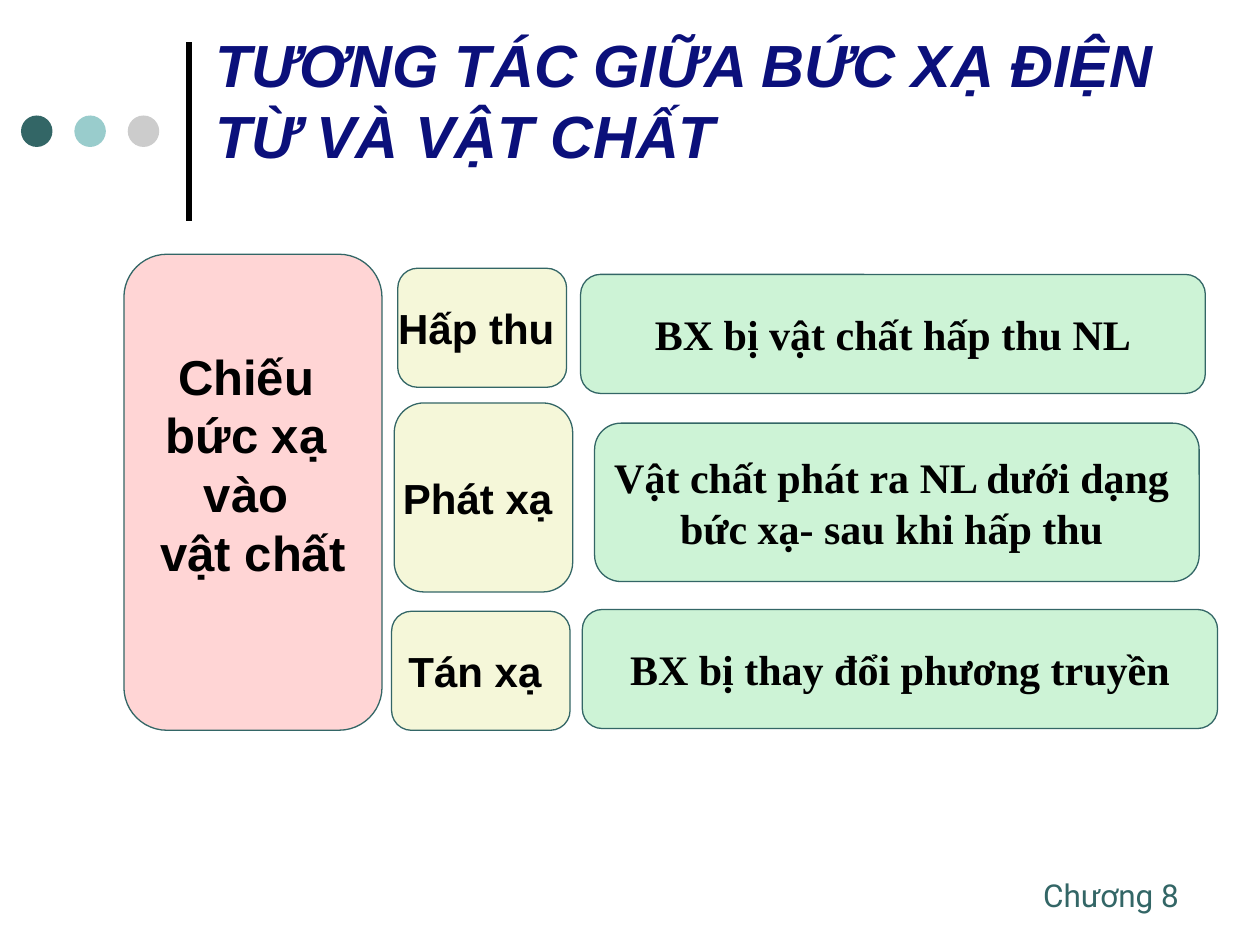
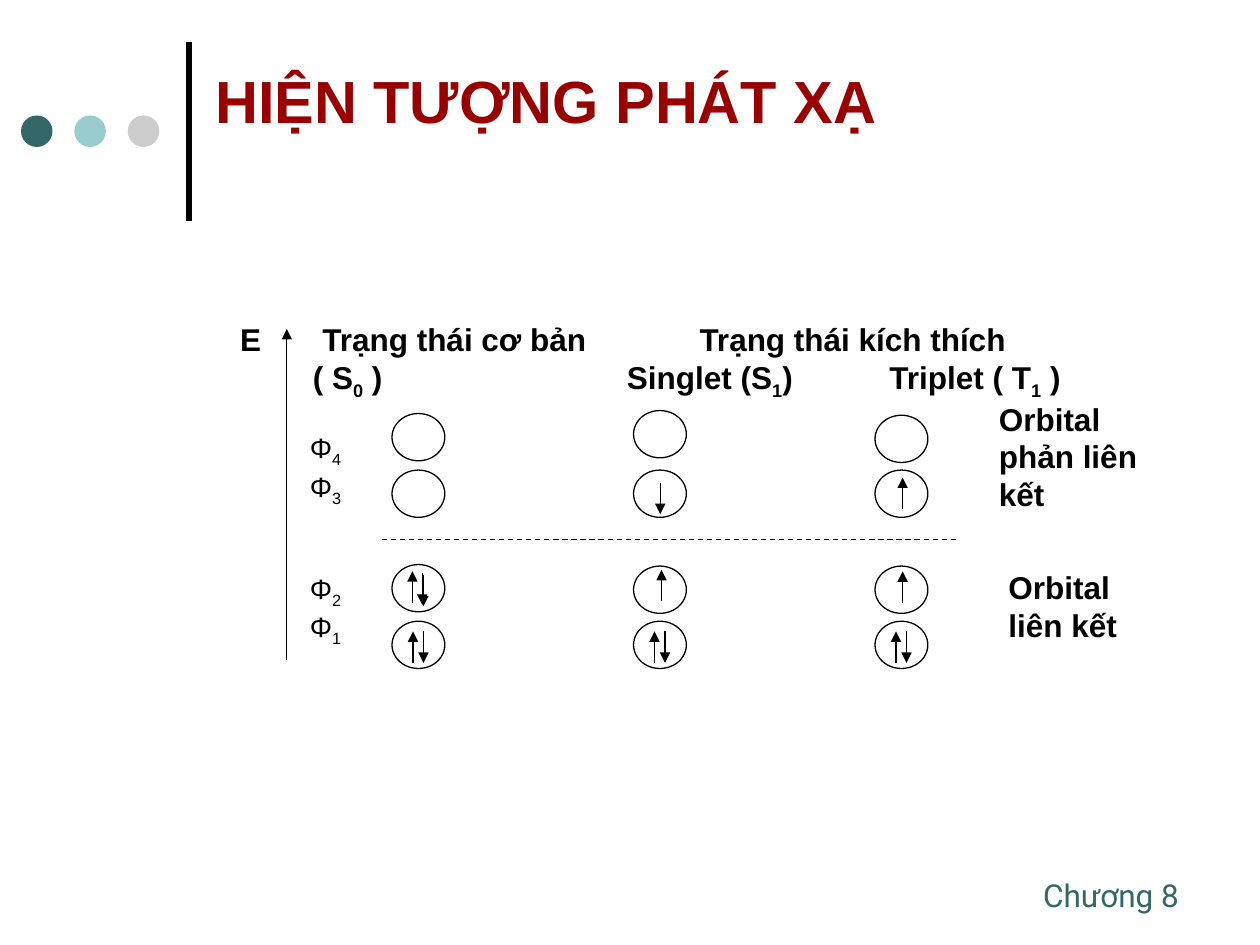
from lxml.etree import SubElement
from pptx import Presentation
from pptx.dml.color import RGBColor
from pptx.enum.dml import MSO_LINE
from pptx.enum.shapes import MSO_CONNECTOR, MSO_SHAPE
from pptx.enum.text import MSO_ANCHOR, PP_ALIGN
from pptx.oxml.ns import qn
from pptx.util import Pt

TEAL, AQUA, GREY = "336666", "99CCCC", "CCCCCC"
BLACK, WHITE, NAVY, RED = "000000", "FFFFFF", "0B107B", "990000"
PINK, CREAM, MINT = "FFD5D5", "F5F7D9", "CDF3D6"
SANS, SERIF, FOOTER_FONT = "Arial", "Times New Roman", "Roboto"

ORBITAL_WIDTH, ORBITAL_HEIGHT, SPIN_LENGTH = 30.2, 27, 18
UP, DOWN = "up", "down"


def color(value):
    return RGBColor.from_string(value)


def add_span(para, text, size, font, ink, bold, italic, subscript=False):
    span = para.add_run()
    span.text = text
    span.font.size = Pt(size)
    span.font.name = font
    span.font.bold = bold
    span.font.italic = italic
    span.font.color.rgb = color(ink)
    if subscript:
        span.font._element.set("baseline", "-25000")


def write(box, text, size=18, font=SANS, ink=BLACK, bold=False, italic=False,
          align=PP_ALIGN.LEFT, anchor=MSO_ANCHOR.TOP, wrap=True,
          bottom=3.6, tabs=(), gaps=()):
    """Fill a box; each line is a paragraph and "_" lowers the next character."""
    frame = box.text_frame
    frame.word_wrap = wrap
    frame.vertical_anchor = anchor
    frame.margin_left = frame.margin_right = Pt(7.2)
    frame.margin_top, frame.margin_bottom = Pt(3.6), Pt(bottom)
    for index, line in enumerate(text.split("\n")):
        para = frame.add_paragraph() if index else frame.paragraphs[0]
        para.alignment = align
        if index < len(gaps) and gaps[index]:
            para.space_before = Pt(gaps[index])
        if tabs:
            stops = SubElement(para._p.get_or_add_pPr(), qn("a:tabLst"))
            for stop in tabs[index]:
                SubElement(stops, qn("a:tab"), pos=str(Pt(stop)), algn="l")
        style = (size, font, ink, bold, italic)
        first, *lowered = line.split("_")
        if first:
            add_span(para, first, *style)
        for piece in lowered:
            add_span(para, piece[0], *style, subscript=True)
            if piece[1:]:
                add_span(para, piece[1:], *style)


def add_text(page, left, top, width, height, text, **style):
    box = page.shapes.add_textbox(Pt(left), Pt(top), Pt(width), Pt(height))
    write(box, text, **style)


def add_shape(page, kind, left, top, width, height, fill, line=None):
    shape = page.shapes.add_shape(kind, Pt(left), Pt(top), Pt(width), Pt(height))
    shape.shadow.inherit = False
    shape.fill.solid()
    shape.fill.fore_color.rgb = color(fill)
    if line:
        shape.line.color.rgb = color(line)
        shape.line.width = Pt(0.75)
    else:
        shape.line.fill.background()
    return shape


def add_line(page, x1, y1, x2, y2, weight=0.75, arrow=False, dashed=False):
    line = page.shapes.add_connector(
        MSO_CONNECTOR.STRAIGHT, Pt(x1), Pt(y1), Pt(x2), Pt(y2))
    line.line.color.rgb = color(BLACK)
    line.line.width = Pt(weight)
    if dashed:
        line.line.dash_style = MSO_LINE.DASH
    if arrow:
        SubElement(line.line._get_or_add_ln(), qn("a:tailEnd"), type="triangle")
    SubElement(line._element.spPr, qn("a:effectLst"))


def add_page(deck, title, **title_style):
    page = deck.slides.add_slide(deck.slide_layouts[6])
    # Vertical rule and three dots beside the title
    add_line(page, 108, 126, 108, 24, weight=3)
    for index, fill in enumerate((TEAL, AQUA, GREY)):
        add_shape(page, MSO_SHAPE.OVAL, 12 + 30.5 * index, 66, 18, 18, fill)
    # Title and chapter footer
    add_text(page, 116, 20, 604, 73.4, title, size=34, bold=True,
             anchor=MSO_ANCHOR.MIDDLE, **title_style)
    add_text(page, 589, 497, 97, 29, "Chương 8", font=FOOTER_FONT, ink=TEAL,
             wrap=False)
    return page


def add_card(page, box, fill, text, kind=MSO_SHAPE.ROUNDED_RECTANGLE, **style):
    card = add_shape(page, kind, *box, fill, TEAL)
    write(card, text, bold=True, align=PP_ALIGN.CENTER,
          anchor=MSO_ANCHOR.MIDDLE, wrap=False, **style)


def add_interactions(page, left, top):
    # Cause on the left; the deep bottom margin lifts its text
    add_card(page, (left, top, 147.5, 272), PINK,
             "Chiếu \nbức xạ \nvào \nvật chất",
             kind=MSO_SHAPE.FLOWCHART_ALTERNATE_PROCESS, size=28, bottom=36)
    # Each effect with its meaning: box offsets from the corner
    effects = [
        ("Hấp thu ", (156.5, 8, 96.5, 68),
         "BX bị vật chất hấp thu NL", (261, 11.5, 357, 68)),
        ("Phát xạ ", (154.5, 85, 102, 108),
         "Vật chất phát ra NL dưới dạng \nbức xạ- sau khi hấp thu ",
         (269, 96.5, 345.5, 90.5)),
        ("Tán xạ ", (153, 204, 102, 68),
         "BX bị thay đổi phương truyền", (262, 203, 363, 68)),
    ]
    for name, name_box, meaning, meaning_box in effects:
        for text, (x, y, width, height), fill, font in (
                (name, name_box, CREAM, SANS),
                (meaning, meaning_box, MINT, SERIF)):
            add_card(page, (left + x, top + y, width, height), fill, text,
                     size=24, font=font)


def add_orbital(page, left, top, spins):
    add_shape(page, MSO_SHAPE.OVAL, left, top, ORBITAL_WIDTH, ORBITAL_HEIGHT,
              WHITE, BLACK)
    for direction, x, y in spins:
        ends = [top + y, top + y + SPIN_LENGTH]
        if direction == UP:
            ends.reverse()
        add_line(page, left + x, ends[0], left + x, ends[1], arrow=True)


def add_energy_diagram(page, left, top):
    # Energy axis and the line between the two kinds of orbital
    add_line(page, left + 42.2, top + 198, left + 42.2, top + 8.7, arrow=True)
    add_line(page, left + 96.5, top + 129, left + 426.5, top + 129, dashed=True)

    # States, each with orbitals from Φ4 to Φ1: (top, spins)
    pair = [(UP, 12, 5.8), (DOWN, 18, 5.8)]
    states = [
        [(57, []), (89.3, []),
         (143.3, [(UP, 11.7, 3.8), (DOWN, 17.3, 5), (DOWN, 18, 5.8)]),
         (175.7, pair)],
        [(55.3, []), (89.3, [(DOWN, 15.3, 7.2)]),
         (144.2, [(UP, 16, 2.2)]), (175.7, pair)],
        [(58, []), (89.3, [(UP, 15.8, 4.3)]),
         (144.2, [(UP, 15.8, 3)]), (175.7, pair)],
    ]
    for column, orbitals in enumerate(states):
        for y, spins in orbitals:
            add_orbital(page, left + 102.3 + 138 * column, top + y, spins)

    # Headings, set on tab stops
    add_text(page, left, top, 498, 54,
             "\tE\tTrạng thái cơ bản\tTrạng thái kích thích\n"
             "\t( S_0 )\tSinglet (S_1)\tTriplet ( T_1 )",
             bold=True, tabs=[(8.5, 55.5, 271), (50, 229.5, 379.5)])
    # Orbital kinds and symbols
    add_text(page, left + 442, top + 45.5, 107, 51, "Orbital\nphản liên kết",
             bold=True)
    add_text(page, left + 447.5, top + 142, 78, 47, "Orbital liên kết",
             bold=True)
    add_text(page, left + 48.3, top + 63.4, 48, 152, "Φ_4\nΦ_3\nΦ_2\nΦ_1",
             size=16, gaps=(0, 0, 36.8))


def main():
    deck = Presentation()
    deck.slide_width, deck.slide_height = Pt(720), Pt(540)

    page = add_page(deck, "TƯƠNG TÁC GIỮA BỨC XẠ ĐIỆN TỪ VÀ VẬT CHẤT",
                    ink=NAVY, italic=True)
    add_interactions(page, 70.8, 145.3)

    page = add_page(deck, "HIỆN TƯỢNG PHÁT XẠ", ink=RED)
    add_energy_diagram(page, 121.7, 179.3)

    deck.save("out.pptx")


if __name__ == "__main__":
    main()
